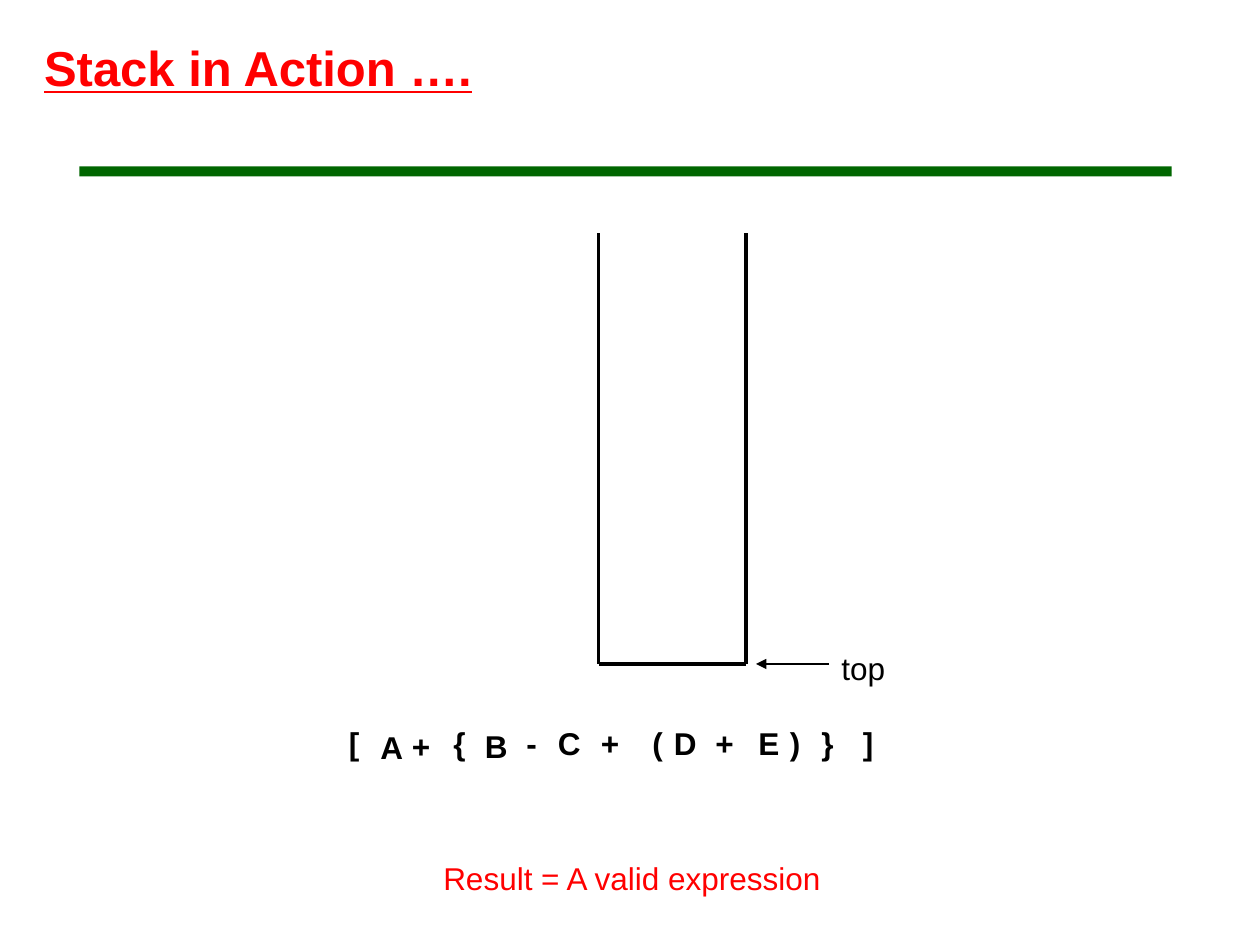
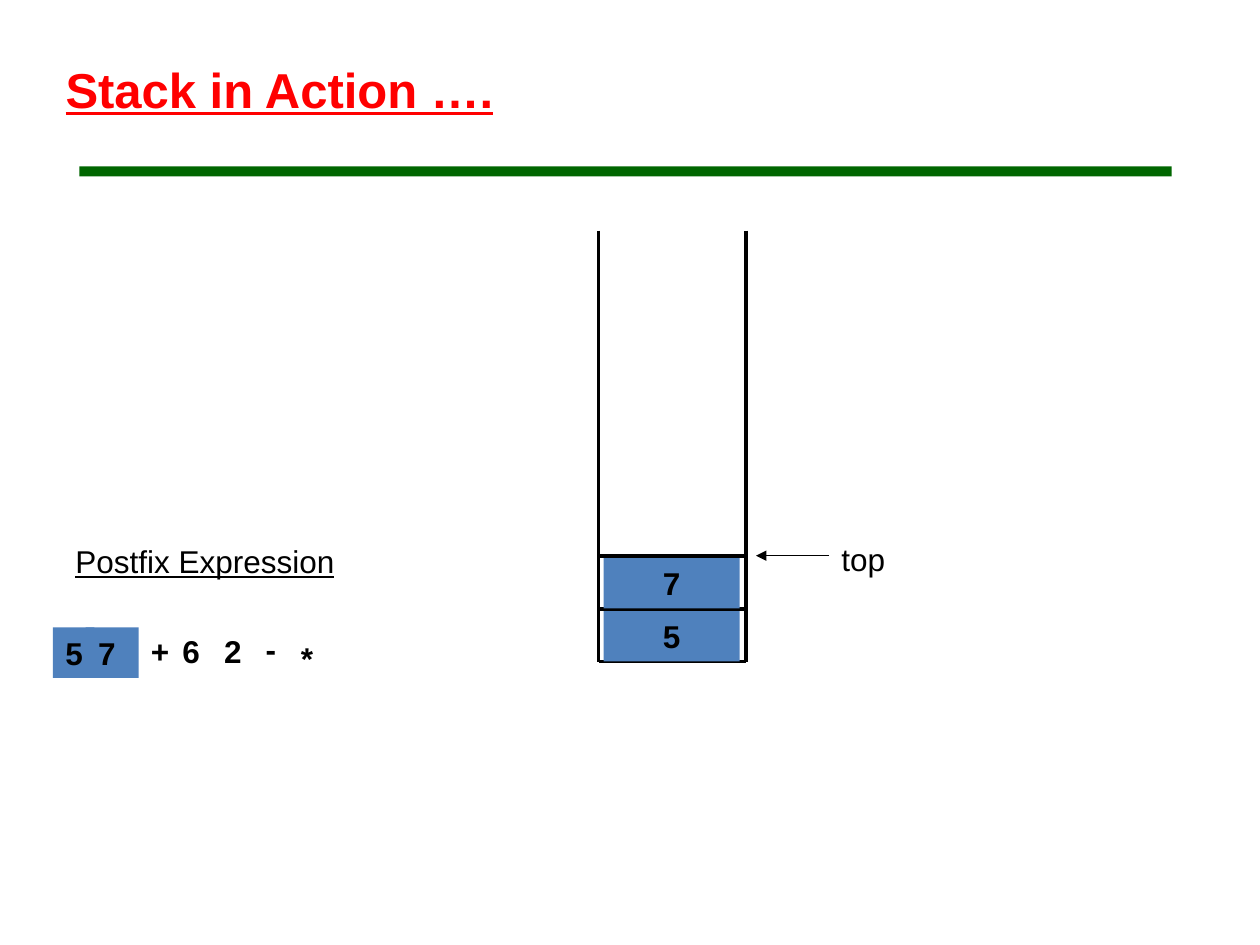
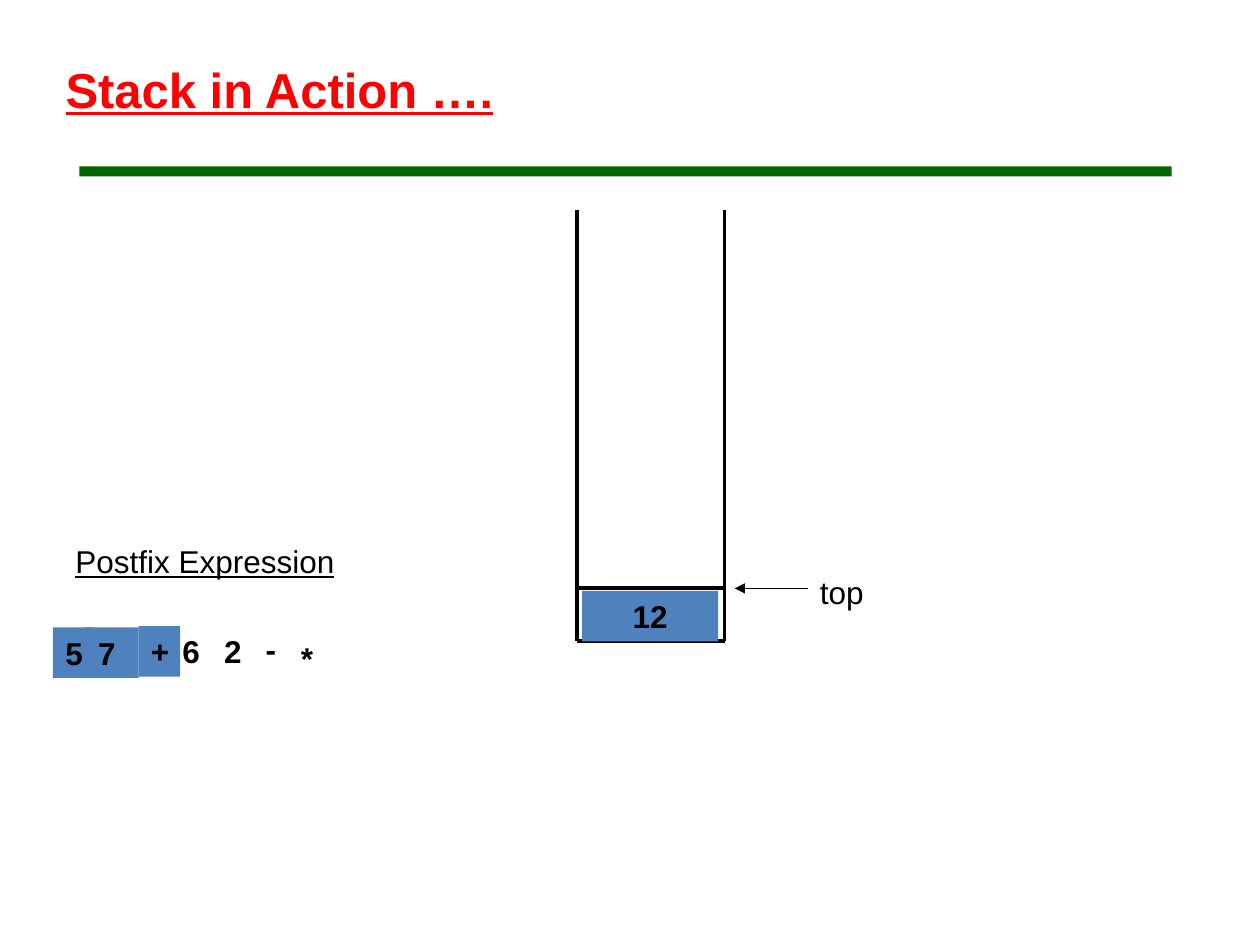
from pptx import Presentation
from pptx.dml.color import RGBColor
from pptx.enum.shapes import MSO_CONNECTOR, MSO_SHAPE
from pptx.enum.text import MSO_ANCHOR, MSO_AUTO_SIZE, PP_ALIGN
from pptx.oxml.ns import qn
from pptx.util import Inches, Pt
from lxml.etree import SubElement

BLACK, RED, GREEN, BLUE = "000000", "FF0000", "006600", "4F81BD"
WIDE, DEEP, STEP = 1.17, 3.42, 0.42

INFIX = [
    ("[", 2.67, 5.7, 0.33), ("A", 2.92, 5.73, 0.42), ("+", 3.17, 5.72, 0.33, 0.7),
    ("{", 3.5, 5.7, 0.33), ("B", 3.75, 5.72, 0.42), ("-", 4.08, 5.7, 0.33),
    ("C", 4.33, 5.7, 0.42), ("+", 4.67, 5.7, 0.42), ("(", 5.08, 5.7, 0.42),
    ("D", 5.25, 5.7, 0.42), ("+", 5.58, 5.7, 0.42), ("E", 5.92, 5.7, 0.42),
    (")", 6.17, 5.7, 0.42), ("}", 6.42, 5.7, 0.42), ("]", 6.75, 5.7, 0.42),
]
POSTFIX = [
    ("5", 0.42, 4.98, 0.33), ("7", 0.68, 4.98, 0.42), ("+", 1.1, 4.97, 0.33),
    ("6", 1.35, 4.97, 0.33), ("2", 1.68, 4.97, 0.42), ("-", 2.01, 4.95, 0.33),
    ("*", 2.29, 5.02, 0.42),
]


def paint(code):
    return RGBColor.from_string(code)


class Deck:
    """Holds the shared style and the slide being built."""

    def __init__(self):
        self.prs = Presentation()
        self.prs.slide_width, self.prs.slide_height = Inches(10), Inches(7.5)

    def start(self, title, edge):
        self.slide = self.prs.slides.add_slide(self.prs.slide_layouts[5])
        self.shapes = self.slide.shapes
        self.block(0.63, 1.32, 8.67, 0.08, GREEN)
        head = self.shapes.title
        head.left, head.top = Inches(edge), Inches(edge)
        head.width, head.height = Inches(6.58), Inches(0.57)
        self.letter(head, title, 28, RED, bold=True, under=True)

    def letter(self, shape, text, size=18, color=BLACK, bold=False, under=False,
               align=PP_ALIGN.LEFT):
        frame = shape.text_frame
        frame.text = text
        frame.word_wrap = True
        frame.auto_size = MSO_AUTO_SIZE.NONE
        frame.vertical_anchor = MSO_ANCHOR.TOP
        para = frame.paragraphs[0]
        para.alignment = align
        para.space_before = Pt(0)
        font = para.runs[0].font
        font.name, font.size = "Arial", Pt(size)
        font.bold, font.underline = bold, under
        font.color.rgb = paint(color)

    def block(self, left, top, width, height, color):
        box = self.shapes.add_shape(MSO_SHAPE.RECTANGLE, Inches(left), Inches(top),
                                    Inches(width), Inches(height))
        box.shadow.inherit = False
        box.fill.solid()
        box.fill.fore_color.rgb = paint(color)
        box.line.fill.background()
        return box

    def label(self, text, left, top, width, height=0.4, **style):
        box = self.shapes.add_textbox(Inches(left), Inches(top),
                                      Inches(width), Inches(height))
        self.letter(box, text, **style)

    def cell(self, text, left, top, width, align=PP_ALIGN.LEFT):
        box = self.block(left, top, width, 0.4, BLUE)
        self.letter(box, text, bold=True, align=align)

    def line(self, x1, y1, x2, y2, weight=2.25, arrow=False):
        link = self.shapes.add_connector(MSO_CONNECTOR.STRAIGHT, Inches(x1),
                                         Inches(y1), Inches(x2), Inches(y2))
        link.line.color.rgb = paint(BLACK)
        link.line.width = Pt(weight)
        props = link._element.spPr
        if arrow:
            SubElement(props.find(qn("a:ln")), qn("a:tailEnd"), type="triangle")
        SubElement(props, qn("a:effectLst"))

    def stack(self, left, top, items=()):
        right, base = left + WIDE, top + DEEP
        self.line(left, top, left, base)
        self.line(right, top, right, base)
        self.line(left, base, right, base)
        level = base
        for item in items:
            level -= STEP
            self.line(left, level, right, level)
            self.cell(item, left + 0.04, level + 0.02, 1.08, PP_ALIGN.CENTER)
        self.label("top", left + 1.83, level - 0.17, 1.5)
        self.line(left + 1.83, level, left + 1.25, level, 0.75, arrow=True)

    def tokens(self, row, done=0):
        for token in row[:done]:
            self.cell(*token)
        for token in row[done:]:
            self.label(*token, bold=True)

    def postfix(self, done):
        self.label("Postfix Expression", 0.5, 4.25, 2.75, under=True)
        self.tokens(POSTFIX, done)


def main():
    deck = Deck()
    title = "Stack in Action …."

    deck.start(title, 0.25)
    deck.stack(4.75, 1.85)
    deck.tokens(INFIX)
    deck.label("Result = A valid expression", 3.42, 6.77, 3.5, color=RED)

    for left, top, items, done in [(4.75, 1.83, ["5", "7"], 2),
                                   (4.58, 1.67, ["12"], 3)]:
        deck.start(title, 0.42)
        deck.stack(left, top, items)
        deck.postfix(done)

    deck.prs.save("out.pptx")


if __name__ == "__main__":
    main()
